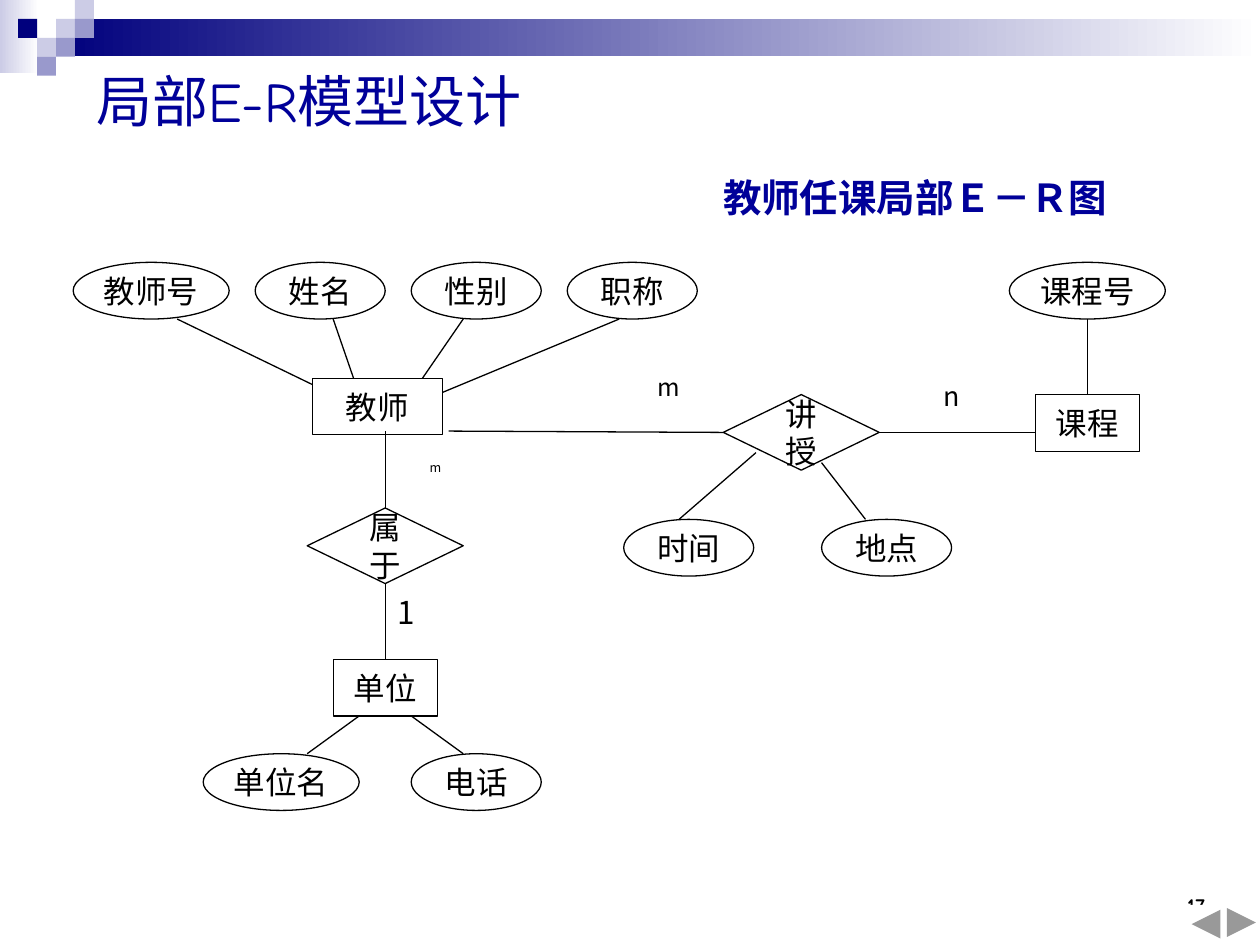
from pptx import Presentation
from pptx.dml.color import RGBColor
from pptx.enum.shapes import MSO_CONNECTOR, MSO_SHAPE
from pptx.enum.text import MSO_ANCHOR, PP_ALIGN
from pptx.oxml.ns import qn
from pptx.util import Pt
from lxml.etree import SubElement

COLORS = {"navy": "00007D", "pale": "CCCCE6", "lilac": "9999CC", "blue": "000099",
          "black": "000000", "white": "FFFFFF"}
SANS = "Noto Sans CJK SC"
COMIC = "Comic Neue"
LINE_WIDTH = Pt(0.74)


def color(name):
    return RGBColor.from_string(COLORS[name])


def set_values(target, values):
    for name, value in values.items():
        setattr(target, name, value)


def write(shape, text, size, font=SANS, ink="black", bold=False, align=PP_ALIGN.CENTER,
          anchor=MSO_ANCHOR.MIDDLE, wrap=True, side=7.2, spacing=1.0):
    frame = shape.text_frame
    set_values(frame, {"word_wrap": wrap, "vertical_anchor": anchor,
                       "margin_left": Pt(side), "margin_right": Pt(side),
                       "margin_top": Pt(3.6), "margin_bottom": Pt(3.6)})
    paragraph = frame.paragraphs[0]
    set_values(paragraph, {"alignment": align, "line_spacing": spacing})
    run = paragraph.add_run()
    run.text = text
    set_values(run.font, {"size": Pt(size), "name": font, "bold": bold})
    run.font.color.rgb = color(ink)
    SubElement(run.font._element, qn("a:ea")).set("typeface", SANS)


def add_box(slide, kind, box, fill="white", outlined=False):
    shape = slide.shapes.add_shape(kind, *[Pt(round(value, 2)) for value in box])
    shape.shadow.inherit = False
    shape.fill.solid()
    shape.fill.fore_color.rgb = color(fill)
    if outlined:
        shape.line.color.rgb = color("black")
        shape.line.width = LINE_WIDTH
    else:
        shape.line.fill.background()
    return shape


def add_text(slide, box, text, size, **style):
    shape = slide.shapes.add_textbox(*[Pt(value) for value in box])
    write(shape, text, size, **style)


def add_header(slide, left, top):
    bands = [((0, 0, 22.3, 41.8), "pale"), ((32.4, 10.8, 687.6, 21.4), "navy")]
    for (x, y, width, height), start in bands:
        band = add_box(slide, MSO_SHAPE.RECTANGLE, (left + x, top + y, width, height))
        band.fill.gradient()
        band.fill.gradient_angle = 0
        for stop, name in zip(band.fill.gradient_stops, (start, "white")):
            stop.color.rgb = color(name)
    side = 10.8
    tiles = [(3, 1, "pale"), (4, 0, "pale"), (4, 1, "lilac"), (2, 2, "pale"),
             (1, 1, "navy"), (3, 2, "lilac"), (2, 3, "lilac")]
    for column, row, fill in tiles:
        add_box(slide, MSO_SHAPE.RECTANGLE,
                (left + column * side - 0.4, top + row * side, side, side), fill)


def add_diagram(slide, left, top):
    column, row = 14.86, 10.8

    def place(x, y):
        return left + x * column, top + y * row

    def add_links(links):
        for x1, y1, x2, y2 in links:
            ends = [Pt(round(value, 2)) for value in place(x1, y1) + place(x2, y2)]
            link = slide.shapes.add_connector(MSO_CONNECTOR.STRAIGHT, *ends)
            link.line.color.rgb = color("black")
            link.line.width = LINE_WIDTH
            SubElement(link._element.spPr, qn("a:effectLst"))

    labels = [("1", 12, 17, 3, 3, 18, 1.0), ("m", 13.23, 10.07, 1.6, 1.67, 7.2, 0.8),
              ("n", 33, 6, 1.8, 2.33, 15.3, 0.9), ("m", 22, 5.6, 2, 2.27, 13.9, 0.8)]
    for text, x, y, width, height, size, spacing in labels:
        label = add_box(slide, MSO_SHAPE.RECTANGLE,
                        place(x, y) + (width * column, height * row))
        write(label, text, size, align=PP_ALIGN.JUSTIFY, spacing=spacing)

    add_links([(4, 3, 10, 7), (21, 3, 14, 7), (10, 3, 11, 7), (15, 3, 13, 7)])

    node_groups = {
        MSO_SHAPE.OVAL: (3, [
            ("教师号", 0, 0, 6), ("姓名", 7, 0, 5), ("性别", 13, 0, 5), ("职称", 19, 0, 5),
            ("课程号", 36, 0, 6), ("单位名", 5, 26, 6), ("电话", 13, 26, 5),
            ("时间", 21.17, 13.6, 5), ("地点", 28.78, 13.6, 5)]),
        MSO_SHAPE.RECTANGLE: (3, [
            ("教师", 9.2, 6.13, 5), ("课程", 37, 7, 4), ("单位", 10, 21, 4)]),
        MSO_SHAPE.DIAMOND: (4, [("讲授", 25, 7, 6), ("属于", 9, 13, 6)]),
    }
    for kind, (height, nodes) in node_groups.items():
        for text, x, y, width in nodes:
            node = add_box(slide, kind, place(x, y) + (width * column, height * row),
                           outlined=True)
            write(node, text, 18, side=0 if len(text) == 3 or text == "单位" else 7.2)

    add_links([(14.44, 8.93, 25, 9), (31, 9, 37, 9), (39, 3, 39, 7),
               (12, 8.93, 12, 13), (12, 17, 12, 21), (11, 24, 9, 26), (13, 24, 15, 26),
               (26.26, 10.07, 23.3, 13.6), (28.78, 10.6, 30.47, 13.6)])


def add_navigation(slide, left, top):
    side = 22
    add_box(slide, MSO_SHAPE.ACTION_BUTTON_FORWARD_OR_NEXT, (left + 20.2, top, side, side))
    add_box(slide, MSO_SHAPE.ACTION_BUTTON_BACK_OR_PREVIOUS, (left, top + 0.9, side, side))


def build_diagram_slide(presentation):
    slide = presentation.slides.add_slide(presentation.slide_layouts[6])
    add_header(slide, 0, 0)
    add_text(slide, (635.8, 491.8, 59.8, 36), "17", 12, font=COMIC, bold=True,
             align=PP_ALIGN.RIGHT, anchor=MSO_ANCHOR.BOTTOM)
    add_text(slide, (48, 30, 648, 54), "局部E-R模型设计", 32, font=COMIC, ink="blue",
             align=PP_ALIGN.LEFT)
    add_text(slide, (406, 96, 234, 34), "教师任课局部Ｅ－Ｒ图", 22, ink="blue", bold=True,
             anchor=MSO_ANCHOR.TOP, wrap=False)
    add_diagram(slide, 41.8, 149.9)
    add_navigation(slide, 678.2, 516.2)


presentation = Presentation()
set_values(presentation, {"slide_width": Pt(720), "slide_height": Pt(540)})
build_diagram_slide(presentation)
presentation.save("out.pptx")
